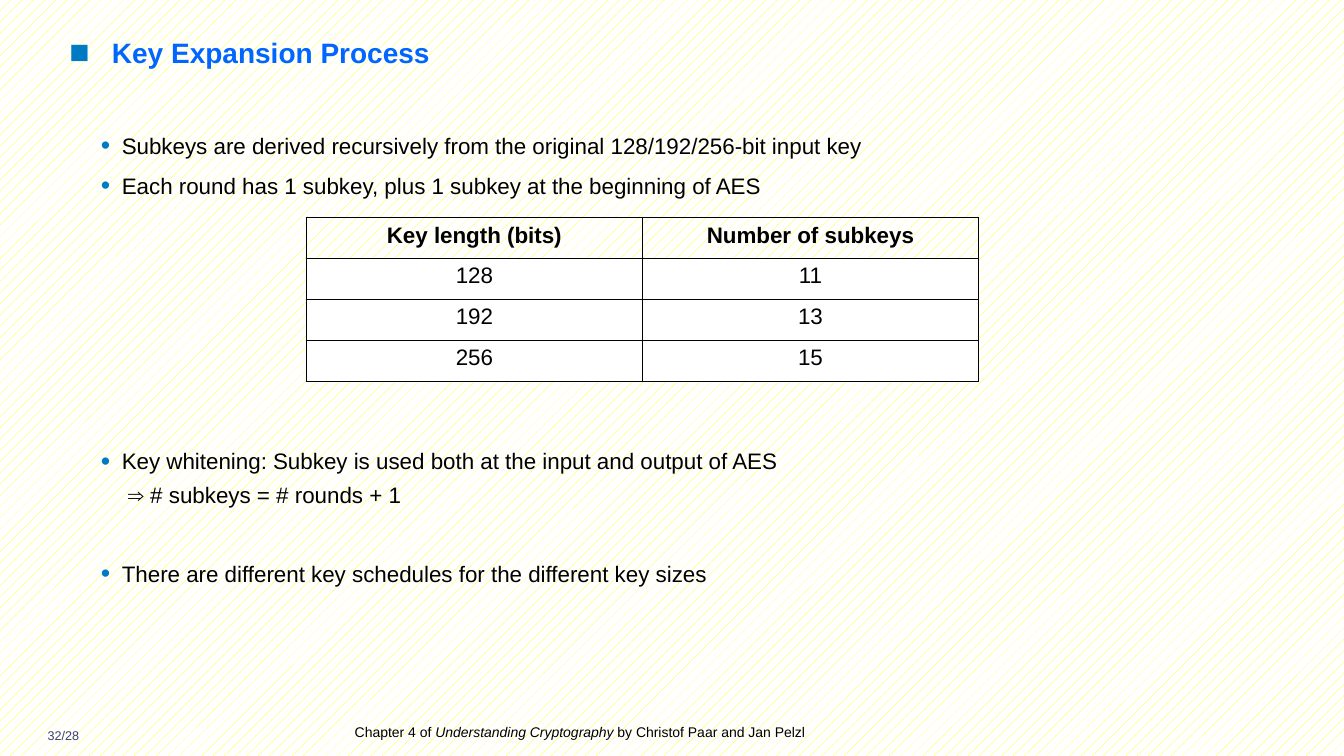
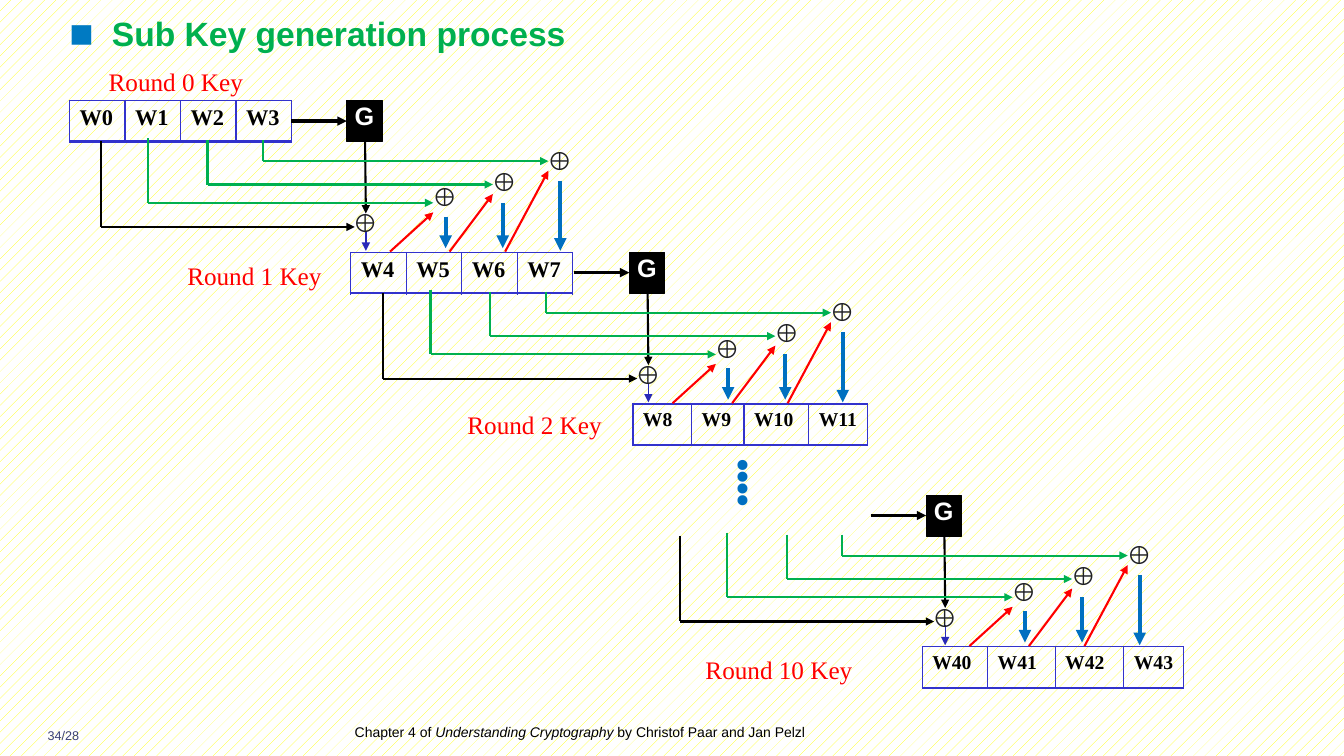
"""Build two slides on the AES key schedule."""
from lxml import etree
from pptx import Presentation
from pptx.dml.color import RGBColor
from pptx.enum.dml import MSO_PATTERN
from pptx.enum.shapes import MSO_CONNECTOR, MSO_SHAPE
from pptx.enum.text import MSO_ANCHOR, MSO_AUTO_SIZE, PP_ALIGN
from pptx.oxml.ns import qn
from pptx.util import Cm, Pt

STRAIGHT = MSO_CONNECTOR.STRAIGHT
RECTANGLE = MSO_SHAPE.RECTANGLE
TOP = MSO_ANCHOR.TOP
FIXED_SIZE = MSO_AUTO_SIZE.NONE
LEFT, CENTER = PP_ALIGN.LEFT, PP_ALIGN.CENTER

SANS, SERIF = "Arial", "Times New Roman"
BLACK, WHITE, YELLOW = "000000", "FFFFFF", "FFFF00"
RED, GREEN, BLUE = "FF0000", "00B050", "0070C0"
BULLET_BLUE, TITLE_BLUE, PAGE_BLUE = "007AC2", "0066FF", "394073"
WORD_BORDER, RESULT_BLUE, XOR_GREY = "3333CC", "2929B8", "202124"

color = RGBColor.from_string


def style(paragraph, font, size, hex_color, bold=False, align=LEFT):
    """Format all runs of a paragraph."""
    paragraph.alignment = align
    for run in paragraph.runs:
        run.font.name = font
        run.font.size = Pt(size)
        run.font.color.rgb = color(hex_color)
        run.font.bold = bold


def connect(slide, start, end, hex_color, width, arrow=True):
    """Draw a straight line between two points given in centimetres."""
    ends = [Cm(value) for value in (*start, *end)]
    connector = slide.shapes.add_connector(STRAIGHT, *ends)
    connector.line.color.rgb = color(hex_color)
    connector.line.width = Pt(width)
    properties = connector._element.spPr
    if arrow:
        outline = properties.find(qn("a:ln"))
        etree.SubElement(outline, qn("a:tailEnd"), type="triangle")
    etree.SubElement(properties, qn("a:effectLst"))


prs = Presentation()
prs.slide_width, prs.slide_height = Cm(33.87), Cm(19.05)
backdrop = prs.slide_master.background.fill
backdrop.patterned()
backdrop.pattern = MSO_PATTERN.PERCENT_10
backdrop.fore_color.rgb = color(YELLOW)
backdrop.back_color.rgb = color(WHITE)

slides = []
bulleted = []
labels = []
for heading, top, size, hex_color, page in (
    ("Key Expansion Process", 0.89, 20, TITLE_BLUE, "32/28"),
    ("Sub Key generation process", 0.33, 24, GREEN, "34/28"),
):
    slide = prs.slides.add_slide(prs.slide_layouts[5])
    slides.append(slide)
    title = slide.shapes.title
    title.left, title.top, title.width, title.height = Cm(1.75), Cm(top), Cm(29.6), Cm(1.42)
    frame = title.text_frame
    frame.text = heading
    frame.auto_size = FIXED_SIZE
    frame.vertical_anchor = TOP
    frame.margin_left = frame.margin_top = frame.margin_right = frame.margin_bottom = 0
    style(frame.paragraphs[0], SANS, size, hex_color, bold=True)
    bulleted.append((frame.paragraphs[0], "■", 1.07))

    labels.append((slide, (0.66, 18.34, 1.88, 0.61), page, SANS, 9, PAGE_BLUE, False, CENTER, 0))

    source = slide.shapes.add_textbox(Cm(8.94), Cm(18.14), Cm(16), Cm(0.71)).text_frame
    source.word_wrap = True
    source.margin_left = source.margin_top = source.margin_right = source.margin_bottom = 0
    credit = source.paragraphs[0]
    credit.line_spacing = 1.2
    for part in ("Chapter 4 of ", "Understanding Cryptography", " by Christof Paar and Jan Pelzl"):
        run = credit.add_run()
        run.text = part
        run.font.italic = part.startswith("Understanding")
    style(credit, SANS, 10, BLACK)

expansion, generation = slides

facts = expansion.shapes.add_textbox(Cm(2.54), Cm(3.15), Cm(28.8), Cm(12.9)).text_frame
facts.word_wrap = True
facts.margin_left = facts.margin_top = facts.margin_right = facts.margin_bottom = 0
for index, (gap, fact) in enumerate((
    (0, "Subkeys are derived recursively from the original 128/192/256-bit input key"),
    (4.6, "Each round has 1 subkey, plus 1 subkey at the beginning of AES"),
    (173, "Key whitening: Subkey is used both at the input and output of AES\n ⇒ # subkeys = # rounds + 1"),
    (32.6, "There are different key schedules for the different key sizes"),
)):
    paragraph = facts.add_paragraph() if index else facts.paragraphs[0]
    paragraph.text = fact
    paragraph.line_spacing = 1.25
    paragraph.space_before = Pt(gap)
    style(paragraph, SANS, 16, BLACK)
    bulleted.append((paragraph, "•", 0.53))

for paragraph, mark, indent in bulleted:
    properties = paragraph._p.get_or_add_pPr()
    properties.set("marL", str(Cm(indent)))
    properties.set("indent", str(-Cm(indent)))
    bullet_color = etree.SubElement(properties, qn("a:buClr"))
    etree.SubElement(bullet_color, qn("a:srgbClr"), val=BULLET_BLUE)
    etree.SubElement(properties, qn("a:buSzPct"), val="120000")
    etree.SubElement(properties, qn("a:buFont"), typeface=SANS)
    etree.SubElement(properties, qn("a:buChar"), char=mark)

subkey_counts = [["Key length (bits)", "Number of subkeys"], ["128", "11"], ["192", "13"], ["256", "15"]]
tables = [(expansion, 7.72, 5.49, [8.47] * 2, subkey_counts, SANS, 16, BLACK, 1, CENTER)]
for left, top, columns, first_word, size in (
    (1.75, 2.54, [1.4] * 4, 0, 16),
    (8.84, 6.36, [1.4] * 4, 4, 16),
    (15.95, 10.18, [1.48, 1.32, 1.63, 1.48], 8, 14),
    (23.24, 16.3, [1.65, 1.7, 1.73, 1.5], 40, 14),
):
    words = [[f"W{first_word + offset}" for offset in range(4)]]
    tables.append((generation, left, top, columns, words, SERIF, size, WORD_BORDER, 2, LEFT))

for slide, left, top, columns, rows, font, size, border, bottom_width, align in tables:
    row_height = 1.03
    grid = slide.shapes.add_table(
        len(rows), len(columns), Cm(left), Cm(top), Cm(sum(columns)), Cm(row_height * len(rows))
    ).table
    grid.first_row = grid.horz_banding = False
    for column, width in zip(grid.columns, columns):
        column.width = Cm(width)
    for row_index, row in enumerate(rows):
        for column_index, entry in enumerate(row):
            cell = grid.cell(row_index, column_index)
            cell.text_frame.text = entry
            style(cell.text_frame.paragraphs[0], font, size, BLACK, row_index == 0, align)
            properties = cell._tc.get_or_add_tcPr()
            for side, width in (("L", 1), ("R", 1), ("T", 1), ("B", bottom_width)):
                edge = etree.SubElement(properties, qn(f"a:ln{side}"), w=str(Pt(width)))
                edge_fill = etree.SubElement(edge, qn("a:solidFill"))
                etree.SubElement(edge_fill, qn("a:srgbClr"), val=border)
            if row_index:
                cell.fill.solid()
                cell.fill.fore_color.rgb = color(WHITE)
            else:
                cell.fill.background()

lanes = (
    (3.73, 3.48, 5.11, 4.45, 11.23, 5.46, 6.25),
    (5.23, 3.53, 4.65, 4.06, 12.67, 5.11, 6.25),
    (6.63, 3.53, 4.06, 3.53, 14.12, 4.55, 6.32),
)
for dx, dy in ((0, 0), (7.12, 3.82), (14.6, 9.94)):
    g_box = generation.shapes.add_shape(RECTANGLE, Cm(8.74 + dx), Cm(2.54 + dy), Cm(0.89), Cm(1.03))
    g_box.shadow.inherit = False
    g_box.fill.solid()
    g_box.fill.fore_color.rgb = color(BLACK)
    g_box.line.color.rgb = color(BLACK)
    g_box.line.width = Pt(0.75)
    frame = g_box.text_frame
    frame.margin_left = frame.margin_top = frame.margin_right = frame.margin_bottom = 0
    frame.vertical_anchor = TOP
    frame.text = "G"
    style(frame.paragraphs[0], SANS, 18, WHITE, True, CENTER)

    strokes = [
        ((2.54, 5.72), (8.94, 5.72), BLACK, 1.5, True),
        ((2.54, 3.56), (2.54, 5.72), BLACK, 1.5, False),
        ((9.22, 5.82), (9.22, 6.32), RESULT_BLUE, 1, True),
        ((7.34, 3.05), (8.74, 3.05), BLACK, 2.25, True),
        ((9.2, 3.48), (9.22, 5.38), BLACK, 1.5, True),
    ]
    xors = [(8.64, 5.11)]
    for drop, start, level, xor_top, down, down_start, down_end in lanes:
        strokes += [
            ((drop, start), (drop, level), GREEN, 1.5, False),
            ((drop, level), (drop + 7.19, level), GREEN, 1.5, True),
            ((drop + 6.1, 6.34), (drop + 7.19, level + 0.24), RED, 1.5, True),
            ((down, down_start), (down, down_end), BLUE, 3, True),
        ]
        xors.append((drop + 6.91, xor_top))
    for (x1, y1), (x2, y2), hex_color, width, arrow in strokes:
        connect(generation, (x1 + dx, y1 + dy), (x2 + dx, y2 + dy), hex_color, width, arrow)
    for x, y in xors:
        labels.append((generation, (x + dx, y + dy, 1.19, 1.02), "⊕", SANS, 18, XOR_GREY, True, LEFT, None))

labels.append((generation, (18.21, 11.02, 1.9, 2.13), "⁞", SERIF, 44, BLUE, True, LEFT, None))
for number, left, top in ((0, 2.49, 1.55), (1, 4.47, 6.43), (2, 11.53, 10.19), (10, 17.53, 16.36)):
    labels.append(
        (generation, (left, top, 4.8, 1.02), f"Round {number} Key", SERIF, 18, RED, False, LEFT, None)
    )

for slide, place, text, font, size, hex_color, bold, align, margin in labels:
    frame = slide.shapes.add_textbox(*[Cm(value) for value in place]).text_frame
    frame.word_wrap = True
    if margin is not None:
        frame.margin_left = frame.margin_top = frame.margin_right = frame.margin_bottom = Cm(margin)
    frame.text = text
    style(frame.paragraphs[0], font, size, hex_color, bold, align)

prs.save("out.pptx")
